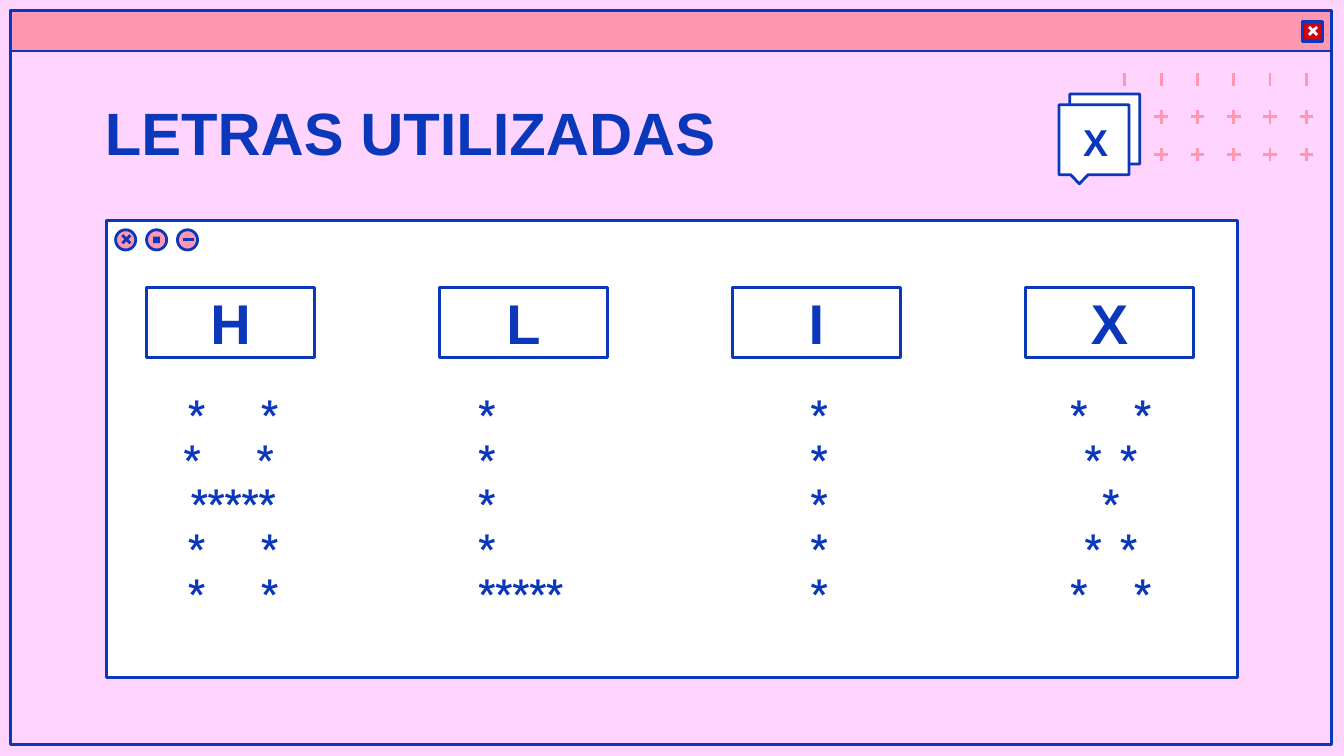
from pptx import Presentation
from pptx.dml.color import RGBColor
from pptx.enum.shapes import MSO_CONNECTOR, MSO_SHAPE
from pptx.enum.text import MSO_ANCHOR, MSO_AUTO_SIZE, PP_ALIGN
from pptx.oxml.ns import qn
from pptx.util import Inches, Pt
from lxml.etree import SubElement

BLUE, PINK, RED, WHITE = "0B37BA", "FF97B1", "CF0011", "FFFFFF"
LINE_WIDTH = 1.5
SPACE_WIDTH = 5  # points, at 20 pt

presentation = Presentation()
presentation.slide_width = Inches(10)
presentation.slide_height = Inches(10 * 9 / 16)
slide = presentation.slides.add_slide(presentation.slide_layouts.get_by_name("Comparison"))
slide.background.fill.solid()
slide.background.fill.fore_color.rgb = RGBColor.from_string("FFD4FF")


def add_box(kind, left, top, width, height, fill=None, outlined=True):
    shape = slide.shapes.add_shape(
        kind, Inches(left), Inches(top), Inches(width), Inches(height))
    shape.shadow.inherit = False
    if fill:
        shape.fill.solid()
        shape.fill.fore_color.rgb = RGBColor.from_string(fill)
    else:
        shape.fill.background()
    if outlined:
        shape.line.color.rgb = RGBColor.from_string(BLUE)
        shape.line.width = Pt(LINE_WIDTH)
    else:
        shape.line.fill.background()
    return shape


def add_line(x1, y1, x2, y2, color):
    line = slide.shapes.add_connector(
        MSO_CONNECTOR.STRAIGHT, Inches(x1), Inches(y1), Inches(x2), Inches(y2))
    line.line.color.rgb = RGBColor.from_string(color)
    line.line.width = Pt(LINE_WIDTH)
    SubElement(line._element.spPr, qn("a:effectLst"))


# Outer window with its title bar and close button
add_box(MSO_SHAPE.RECTANGLE, 0.08, 0.08, 9.83, 5.46)
add_box(MSO_SHAPE.RECTANGLE, 0.08, 0.08, 9.83, 0.3, PINK)
add_box(MSO_SHAPE.RECTANGLE, 9.69, 0.16, 0.15, 0.15, RED)

# Grid of plus signs: the top row has only upright strokes,
# and the callouts take the place of the first column below it
for row in range(3):
    for column in range(6):
        if row and not column:
            continue
        x, y = 8.37 + 0.27 * column, 0.59 + 0.28 * row
        add_line(x, y - 0.05, x, y + 0.05, PINK)
        if row:
            add_line(x - 0.05, y, x + 0.05, y, PINK)

# Inner window with its three round buttons
add_box(MSO_SHAPE.RECTANGLE, 0.79, 1.64, 8.42, 3.4, WHITE)
for column in range(3):
    add_box(MSO_SHAPE.OVAL, 0.86 + 0.23 * column, 1.71, 0.15, 0.15, PINK)
add_box(MSO_SHAPE.RECTANGLE, 1.14, 1.76, 0.05, 0.05, BLUE, outlined=False)
add_line(1.36, 1.78, 1.44, 1.78, BLUE)

# Crosses of the two close buttons
for left, top, color in ((9.74, 0.2, WHITE), (0.91, 1.75, BLUE)):
    add_line(left, top, left + 0.06, top + 0.06, color)
    add_line(left, top + 0.06, left + 0.06, top, color)

# Title
title = slide.shapes.title
slide.shapes._spTree.append(title._element)  # in front of the window
title.left, title.top = Inches(0.68), Inches(0.61)
title.width, title.height = Inches(6.92), Inches(0.65)
title.text_frame.text = "LETRAS UTILIZADAS"
title.text_frame.vertical_anchor = MSO_ANCHOR.TOP
headings = [(title, 32, PP_ALIGN.LEFT, 0.1)]

# Letters drawn with stars: a list of paragraphs, each a list of lines;
# a number within a line is a gap counted in spaces
PAIR, WIDE_PAIR, CLOSE_PAIR = ("*", 6, "*"), ("*", 5, "*"), ("*", 2, "*")
STAR, BAR = ("*",), ("*****",)
letters = [
    ("H", 0.79, 1.89, PP_ALIGN.CENTER, [[PAIR, PAIR + (1,), BAR], [PAIR, PAIR]]),
    ("L", 3.46, 0.87, PP_ALIGN.LEFT, [[STAR]] * 4 + [[BAR]]),
    ("I", 5.15, 1.89, PP_ALIGN.CENTER, [[STAR]] * 5),
    ("X", 7.32, 1.89, PP_ALIGN.CENTER,
     [[WIDE_PAIR], [CLOSE_PAIR], [STAR], [CLOSE_PAIR], [WIDE_PAIR]]),
]
bodies = list(slide.placeholders)[1:]
bodies = [body for body in bodies if body.placeholder_format.idx in (1, 2, 3, 4)]
for column, (letter, left, width, alignment, paragraphs) in enumerate(letters):
    body = bodies[column]
    slide.shapes._spTree.append(body._element)
    body.left, body.top = Inches(left), Inches(2.81)
    body.width, body.height = Inches(width), Inches(1.85)
    text_frame = body.text_frame
    text_frame.vertical_anchor = MSO_ANCHOR.MIDDLE
    text_frame.auto_size = MSO_AUTO_SIZE.NONE
    text_frame.margin_left = text_frame.margin_right = Inches(0.1)
    text_frame.margin_top = text_frame.margin_bottom = Inches(0.1)
    for number, lines in enumerate(paragraphs):
        paragraph = text_frame.add_paragraph() if number else text_frame.paragraphs[0]
        properties = paragraph._p.get_or_add_pPr()
        properties.set("marL", "0")
        properties.set("indent", "0")
        SubElement(properties, qn("a:buNone"))
        paragraph.alignment = alignment
        paragraph.space_before = paragraph.space_after = Pt(0)
        paragraph.line_spacing = 1.0
        for line_number, parts in enumerate(lines):
            if line_number:
                paragraph.add_line_break()
                SubElement(paragraph._p[-1], qn("a:rPr"), sz="2000")
            for part in parts:
                run = paragraph.add_run()
                run.text = part if isinstance(part, str) else " "
                run.font.name = "Roboto"
                run.font.size = Pt(20)
                run.font.bold = True
                run.font.color.rgb = RGBColor.from_string(BLUE)
                if run.text == " ":  # one space, stretched by letter spacing
                    extra = (part - 1) * SPACE_WIDTH
                    run._r.get_or_add_rPr().set("spc", str(extra * 100))

    label = add_box(MSO_SHAPE.RECTANGLE, 1.09 + 2.18 * column, 2.14, 1.25, 0.52, WHITE)
    label.text_frame.text = letter
    label.text_frame.vertical_anchor = MSO_ANCHOR.MIDDLE
    headings.append((label, 30, PP_ALIGN.CENTER, 0.1))

# Two stacked callouts with an X
for left, top in ((7.96, 0.7), (7.88, 0.78)):
    callout = add_box(MSO_SHAPE.RECTANGULAR_CALLOUT, left, top, 0.52, 0.52, WHITE)
    callout.adjustments[0] = -0.21
    callout.adjustments[1] = 0.63
callout_text = slide.shapes.add_textbox(Inches(7.96), Inches(0.84), Inches(0.31), Inches(0.44))
callout_text.text_frame.text = "X"
headings.append((callout_text, 20, PP_ALIGN.LEFT, 0.05))

for shape, size, alignment, vertical_margin in headings:
    text_frame = shape.text_frame
    text_frame.word_wrap = True
    text_frame.auto_size = MSO_AUTO_SIZE.NONE
    text_frame.margin_left = text_frame.margin_right = Inches(0.1)
    text_frame.margin_top = text_frame.margin_bottom = Inches(vertical_margin)
    paragraph = text_frame.paragraphs[0]
    paragraph.alignment = alignment
    font = paragraph.runs[0].font
    font.name = "Arial"
    font.size = Pt(size)
    font.bold = True
    font.color.rgb = RGBColor.from_string(BLUE)

presentation.save("out.pptx")
